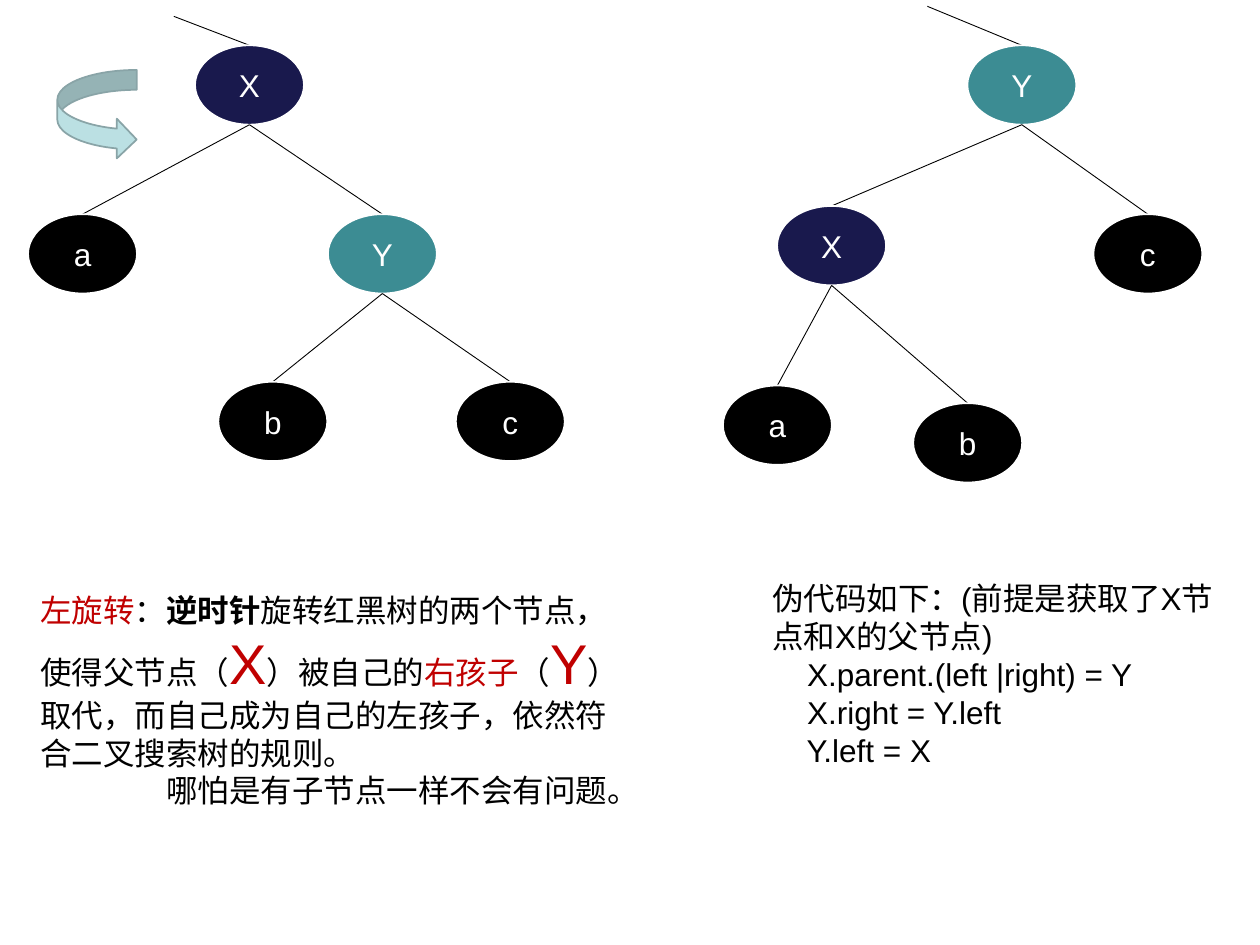
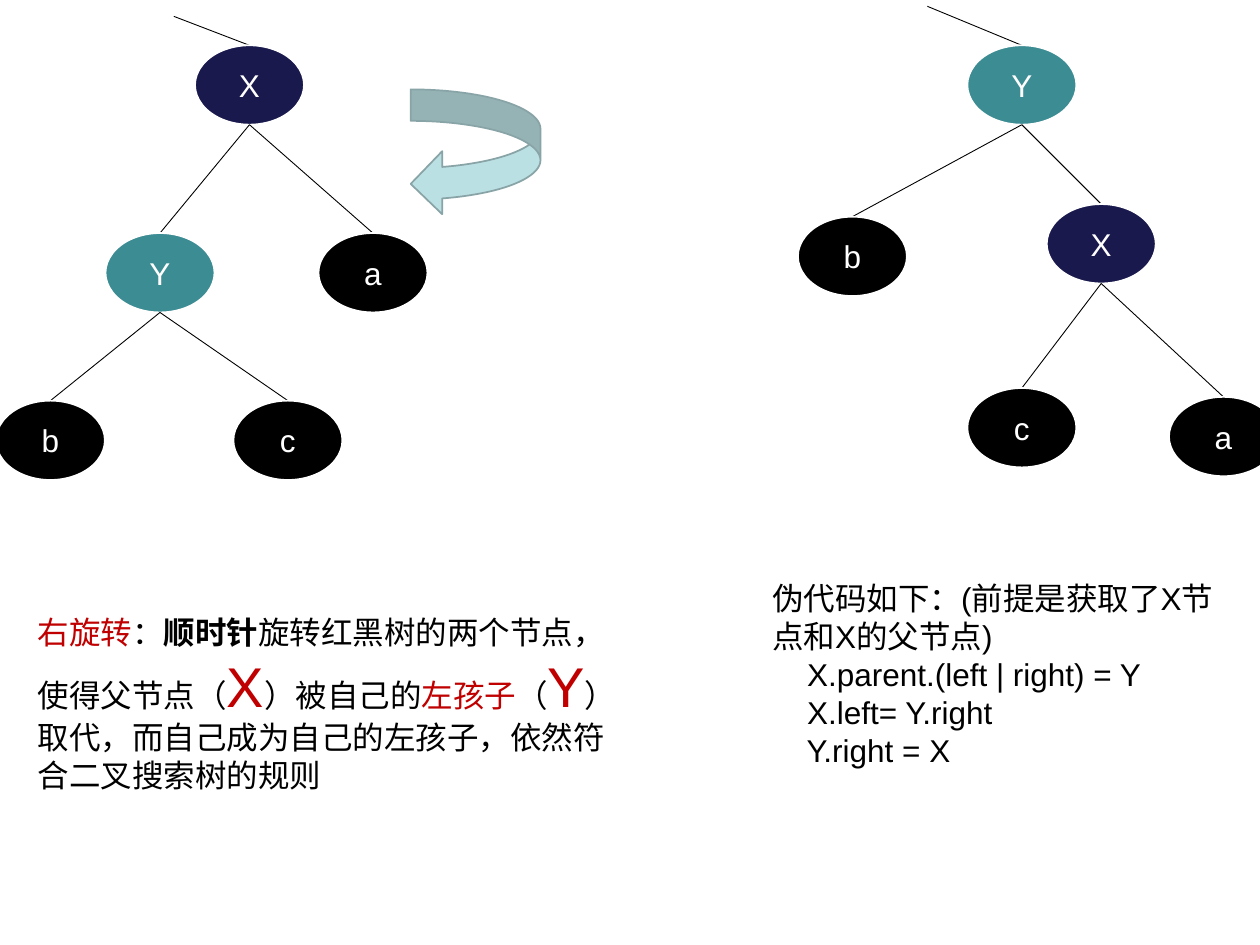
import dataclasses
import pptx
import pptx.util
import pptx.dml.color
import pptx.enum.shapes
import pptx.enum.text
import pptx.oxml.ns
from lxml import etree

SHAPE = pptx.enum.shapes.MSO_SHAPE
COLS = 100  # grid columns across the slide; rows have the same size


@dataclasses.dataclass(frozen=True)
class Theme:
    font: str = "Arial"
    body: int = 18
    big: int = 32
    text: str = "000000"
    accent: str = "C00000"
    white: str = "FFFFFF"
    x_node: str = "19194D"
    y_node: str = "3C8C93"
    leaf: str = "000000"
    arrow: str = "BBE0E3"
    arrow_line: str = "89A4A7"
    outline: float = 1
    edge: float = 0.5


@dataclasses.dataclass(frozen=True)
class Box:
    left: float
    top: float
    width: float
    height: float

    def inner(self, x, y, width, height):
        return Box(self.left + x, self.top + y, width, height)


THEME = Theme()
NODE_W, NODE_H = 8.65, 6.3
LEFT_TREE = Box(0, 0, 50, 40)
RIGHT_TREE = Box(55, 0, 45, 40)

prs = pptx.Presentation()
prs.slide_width = pptx.util.Inches(10)
prs.slide_height = pptx.util.Inches(7.5)


def grid(*values):
    return [round(v * prs.slide_width / COLS) for v in values]


def place(box):
    return grid(box.left, box.top, box.width, box.height)


def rgb(color):
    return pptx.dml.color.RGBColor.from_string(color)


def add_run(p, text, color, size=THEME.body, bold=False):
    r = p.add_run()
    r.text = text
    r.font.name = THEME.font
    r.font.size = pptx.util.Pt(size)
    r.font.bold = bold
    r.font.color.rgb = rgb(color)


def add_preset(slide, kind, box, fill, line):
    sp = slide.shapes.add_shape(kind, *place(box))
    sp.shadow.inherit = False
    sp.fill.solid()
    sp.fill.fore_color.rgb = rgb(fill)
    sp.line.color.rgb = rgb(line)
    sp.line.width = pptx.util.Pt(THEME.outline)
    return sp


def add_edge(slide, box, start, end):
    (x1, y1), (x2, y2) = start, end
    ends = grid(box.left + x1, box.top + y1, box.left + x2, box.top + y2)
    line = slide.shapes.add_connector(pptx.enum.shapes.MSO_CONNECTOR.STRAIGHT, *ends)
    line.line.color.rgb = rgb(THEME.text)
    line.line.width = pptx.util.Pt(THEME.edge)
    etree.SubElement(line._element.spPr, pptx.oxml.ns.qn("a:effectLst"))


def add_node(slide, box, name, x, y):
    fill = {"X": THEME.x_node, "Y": THEME.y_node}.get(name, THEME.leaf)
    spot = box.inner(x - NODE_W / 2, y - NODE_H / 2, NODE_W, NODE_H)
    sp = add_preset(slide, SHAPE.OVAL, spot, fill, THEME.white)
    tf = sp.text_frame
    tf.vertical_anchor = pptx.enum.text.MSO_ANCHOR.MIDDLE
    p = tf.paragraphs[0]
    p.alignment = pptx.enum.text.PP_ALIGN.CENTER
    add_run(p, name, THEME.white)


def add_tree(slide, box, stub, nodes):
    """nodes: name -> (centre x, centre y, parent); the root's parent is None."""
    for name, (x, y, parent) in nodes.items():
        # Edge from the node's top to its parent's bottom, or to the open stub
        if parent:
            parent_x, parent_y, _ = nodes[parent]
            end = (parent_x, parent_y + NODE_H / 2)
        else:
            end = stub
        add_edge(slide, box, (x, y - NODE_H / 2), end)
        add_node(slide, box, name, x, y)


def add_text_box(slide, box):
    tf = slide.shapes.add_textbox(*place(box)).text_frame
    tf.word_wrap = True
    return tf


def add_explanation(slide, box, title, direction, child, ending, note):
    tf = add_text_box(slide, box)
    p = tf.paragraphs[0]
    add_run(p, title, THEME.accent)
    add_run(p, "：", THEME.text)
    add_run(p, direction, THEME.text, bold=True)
    add_run(p, "旋转红黑树的两个节点，使得父节点（", THEME.text)
    add_run(p, "X", THEME.accent, THEME.big)
    add_run(p, "）被自己的", THEME.text)
    add_run(p, child, THEME.accent)
    add_run(p, "（", THEME.text)
    add_run(p, "Y", THEME.accent, THEME.big)
    add_run(p, "）取代，而自己成为自己的左孩子，依然符合二叉搜索树的规则" + ending, THEME.text)
    if note:
        p = tf.add_paragraph()
        p._p.get_or_add_pPr().set("indent", str(pptx.util.Inches(1)))
        add_run(p, note, THEME.text)


def add_pseudocode(slide, box, code):
    tf = add_text_box(slide, box)
    add_run(tf.paragraphs[0], "伪代码如下：(前提是获取了X节点和X的父节点)", THEME.text)
    for line in code:
        add_run(tf.add_paragraph(), "    " + line, THEME.text)


def rotation_slide(before, after, arrow, explanation, code):
    slide = prs.slides.add_slide(prs.slide_layouts[6])
    # Trees before and after the rotation
    add_tree(slide, LEFT_TREE, (13.8, 1.3), before)
    add_tree(slide, RIGHT_TREE, (18.6, 0.5), after)
    # Turning direction
    kind, arrow_box = arrow
    add_preset(slide, kind, LEFT_TREE.inner(*arrow_box), THEME.arrow, THEME.arrow_line)
    # Texts
    add_explanation(slide, *explanation)
    add_pseudocode(slide, Box(60.3, 45.5, 37.1, 19), code)


def main():
    # Left rotation
    rotation_slide(
        before={"X": (19.8, 6.75, None), "a": (6.55, 20.15, "X"), "Y": (30.35, 20.15, "X"),
                "b": (21.65, 33.45, "Y"), "c": (40.5, 33.45, "Y")},
        after={"Y": (26.1, 6.75, None), "X": (11, 19.5, "Y"), "c": (36.1, 20.15, "Y"),
               "a": (6.7, 33.75, "X"), "b": (21.8, 35.15, "X")},
        arrow=(SHAPE.CURVED_RIGHT_ARROW, (4.55, 5.55, 6.3, 7.1)),
        explanation=(Box(2.2, 46.4, 49.2, 20.7), "左旋转", "逆时针", "右孩子", "。",
                     "哪怕是有子节点一样不会有问题。"),
        code=["X.parent.(left |right) = Y", "X.right = Y.left", "Y.left = X"])
    # Right rotation
    rotation_slide(
        before={"X": (19.8, 6.75, None), "Y": (12.7, 21.65, "X"), "a": (29.6, 21.65, "X"),
                "b": (4, 34.95, "Y"), "c": (22.85, 34.95, "Y")},
        after={"Y": (26.1, 6.75, None), "b": (12.65, 20.35, "Y"), "X": (32.4, 19.35, "Y"),
               "c": (26.1, 33.95, "X"), "a": (42.1, 34.65, "X")},
        arrow=(SHAPE.CURVED_LEFT_ARROW, (32.6, 7.1, 10.3, 10)),
        explanation=(Box(2, 48.2, 49.2, 17.7), "右旋转", "顺时针", "左孩子", "", None),
        code=["X.parent.(left | right) = Y", "X.left= Y.right", "Y.right = X"])
    prs.save("out.pptx")


if __name__ == "__main__":
    main()
